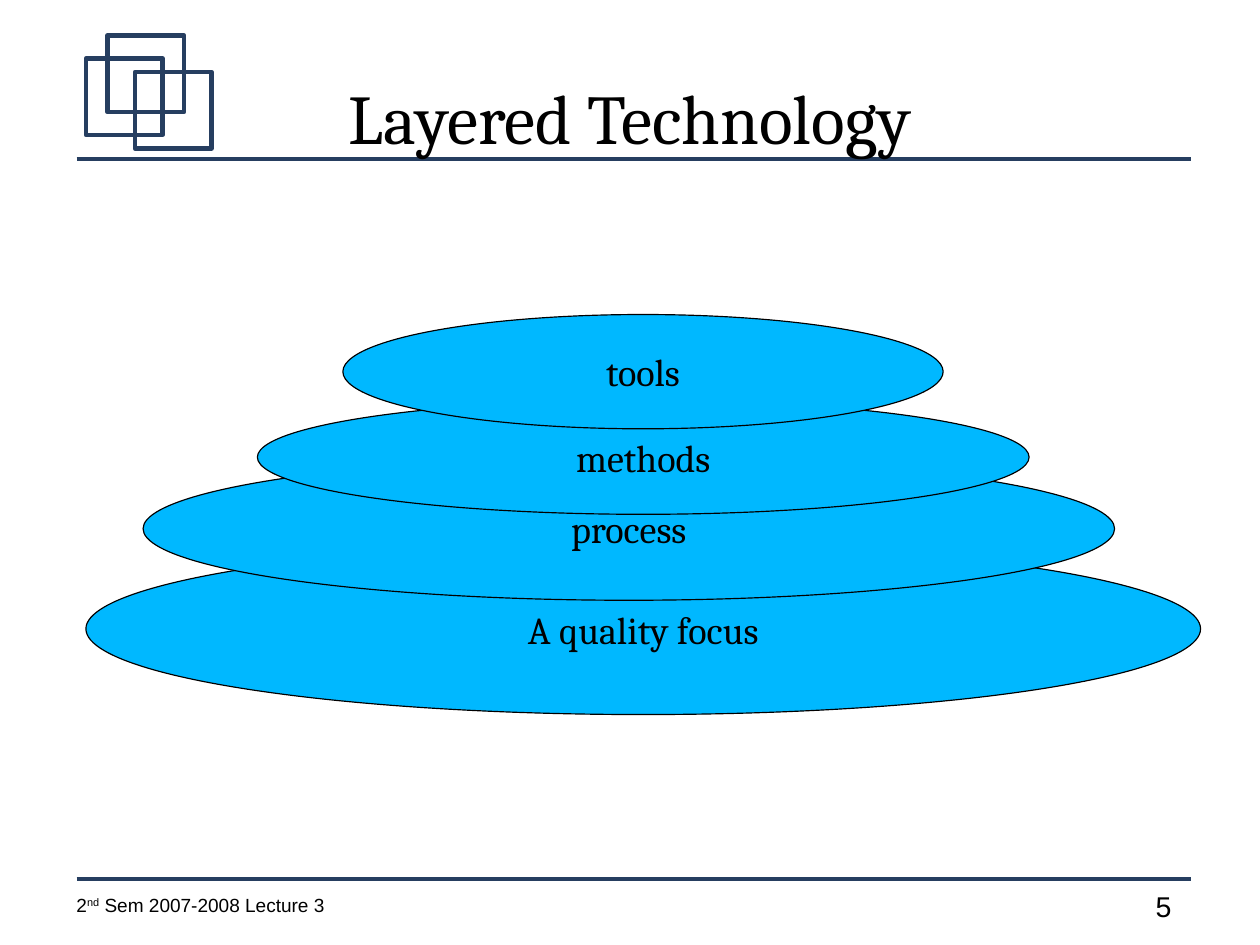
from lxml.etree import SubElement
from pptx import Presentation
from pptx.dml.color import RGBColor
from pptx.enum.shapes import MSO_CONNECTOR as Connector, MSO_SHAPE as Shape
from pptx.enum.text import MSO_ANCHOR as Anchor, PP_ALIGN as Align
from pptx.oxml.ns import qn
from pptx.util import Cm, Pt

COLORS = {"navy": "263E60", "layer": "00B8FF", "ink": "000000"}
RULE_WIDTH = Pt(2.83)


def color(name):
    return RGBColor.from_string(COLORS[name])


def write(frame, pieces, font_name, size, align, anchor):
    """Fill a text frame with (text, baseline shift in percent) pieces."""
    layout = dict(margin_left=0, margin_top=0, margin_right=0, margin_bottom=0,
                  word_wrap=True, vertical_anchor=anchor)
    for attribute, value in layout.items():
        setattr(frame, attribute, value)
    paragraph = frame.paragraphs[0]
    paragraph.alignment = align
    for text, shift in pieces:
        run = paragraph.add_run()
        run.text = text
        for attribute, value in dict(name=font_name, size=Pt(size)).items():
            setattr(run.font, attribute, value)
        run.font.color.rgb = color("ink")
        if shift:
            run._r.get_or_add_rPr().set("baseline", str(shift * 1000))


prs = Presentation()
prs.slide_width, prs.slide_height = Cm(28), Cm(21)
slide = prs.slides.add_slide(prs.slide_layouts[6])
shapes = slide.shapes

# Rules above the footer and below the title
for y in (19.53, 3.53):
    rule = shapes.add_connector(Connector.STRAIGHT, Cm(1.7), Cm(y), Cm(26.47), Cm(y))
    rule.line.color.rgb = color("navy")
    rule.line.width = RULE_WIDTH
    SubElement(rule._element.spPr, qn("a:effectLst"))

# Interlocking squares in the corner
for left, top in ((1.91, 1.3), (2.39, 0.79), (3, 1.6)):
    square = shapes.add_shape(Shape.RECTANGLE, Cm(left), Cm(top), Cm(1.7), Cm(1.7))
    square.shadow.inherit = False
    square.fill.background()
    square.line.color.rgb = color("navy")
    square.line.width = RULE_WIDTH

# Footer, page number and title
lecture = [("2", 0), ("nd", 33), (" Sem 2007-2008 Lecture 3", 0)]
captions = [
    ((1.7, 19.86, 7.16, 0.69), lecture, "Arial", 12, Align.LEFT, Anchor.TOP),
    ((25.68, 19.76, 1.02, 0.86), [("5", 0)], "Arial", 18, Align.LEFT, Anchor.TOP),
    ((1.4, 0.84, 25.2, 3.5), [("Layered Technology", 0)], "Cambria", 44,
     Align.CENTER, Anchor.MIDDLE),
]
for box, *caption in captions:
    write(shapes.add_textbox(*map(Cm, box)).text_frame, *caption)

# Layers, from the base up
layers = [
    ("A quality focus", 1.91, 12.07, 24.77, 3.81),
    ("process", 3.18, 10.16, 21.59, 3.18),
    ("methods", 5.72, 8.89, 17.15, 2.54),
    ("tools", 7.62, 6.99, 13.34, 2.54),
]
for label, *box in layers:
    layer = shapes.add_shape(Shape.OVAL, *map(Cm, box))
    layer.shadow.inherit = False
    layer.fill.solid()
    layer.fill.fore_color.rgb = color("layer")
    layer.line.color.rgb = color("ink")
    layer.line.width = Pt(0)
    write(layer.text_frame, [(label, 0)], "Cambria", 24, Align.CENTER, Anchor.MIDDLE)

prs.save("out.pptx")
